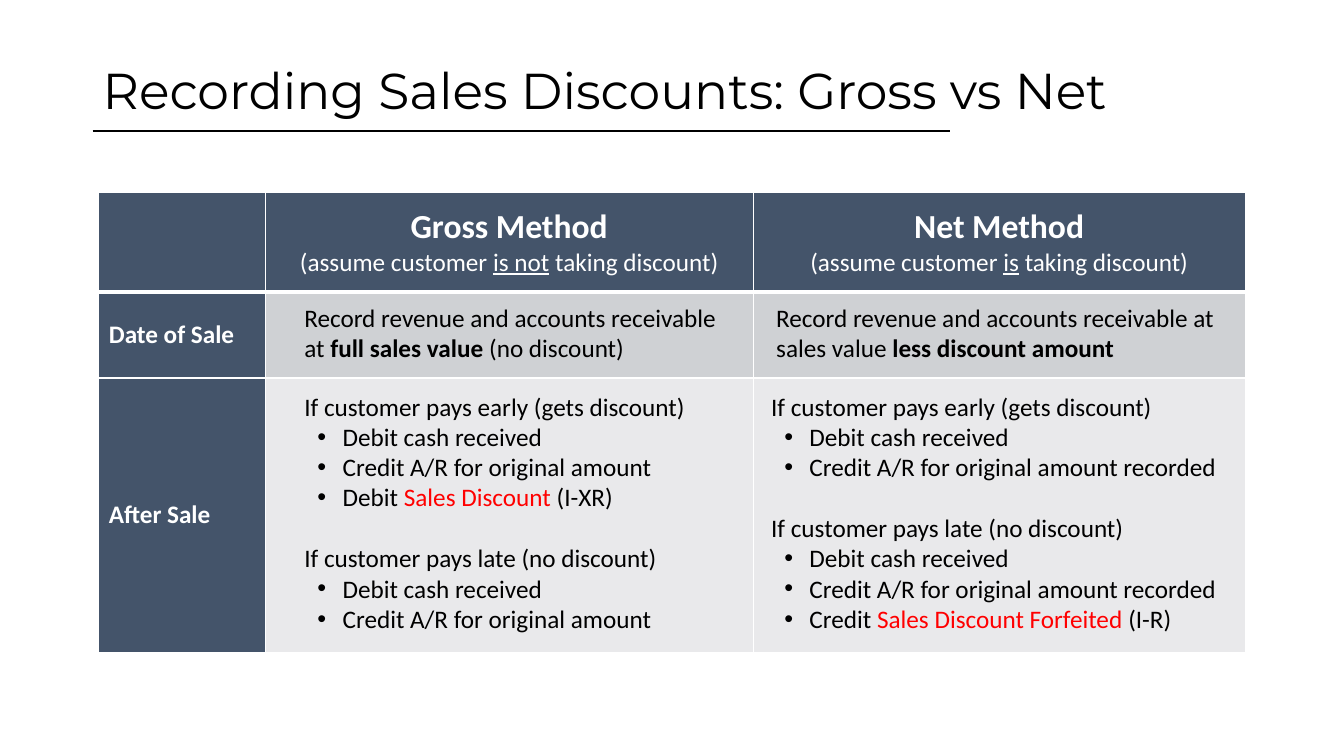
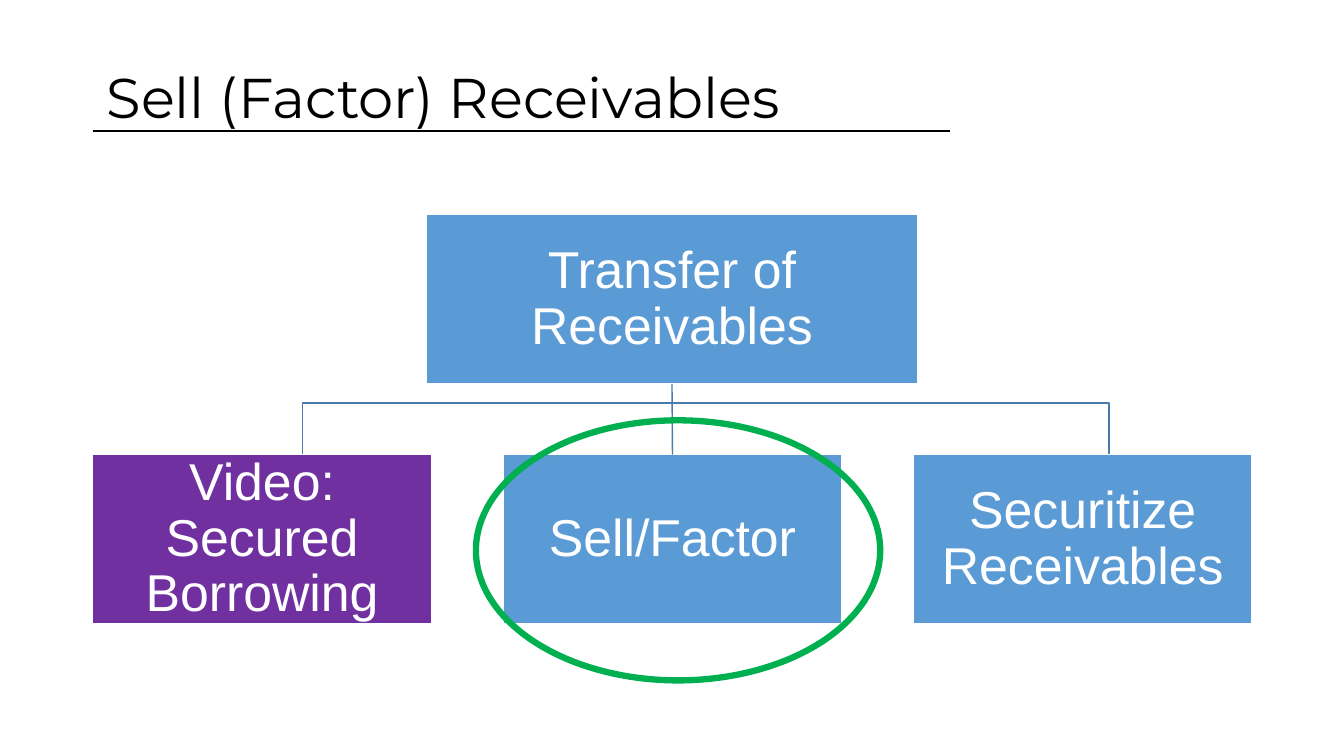
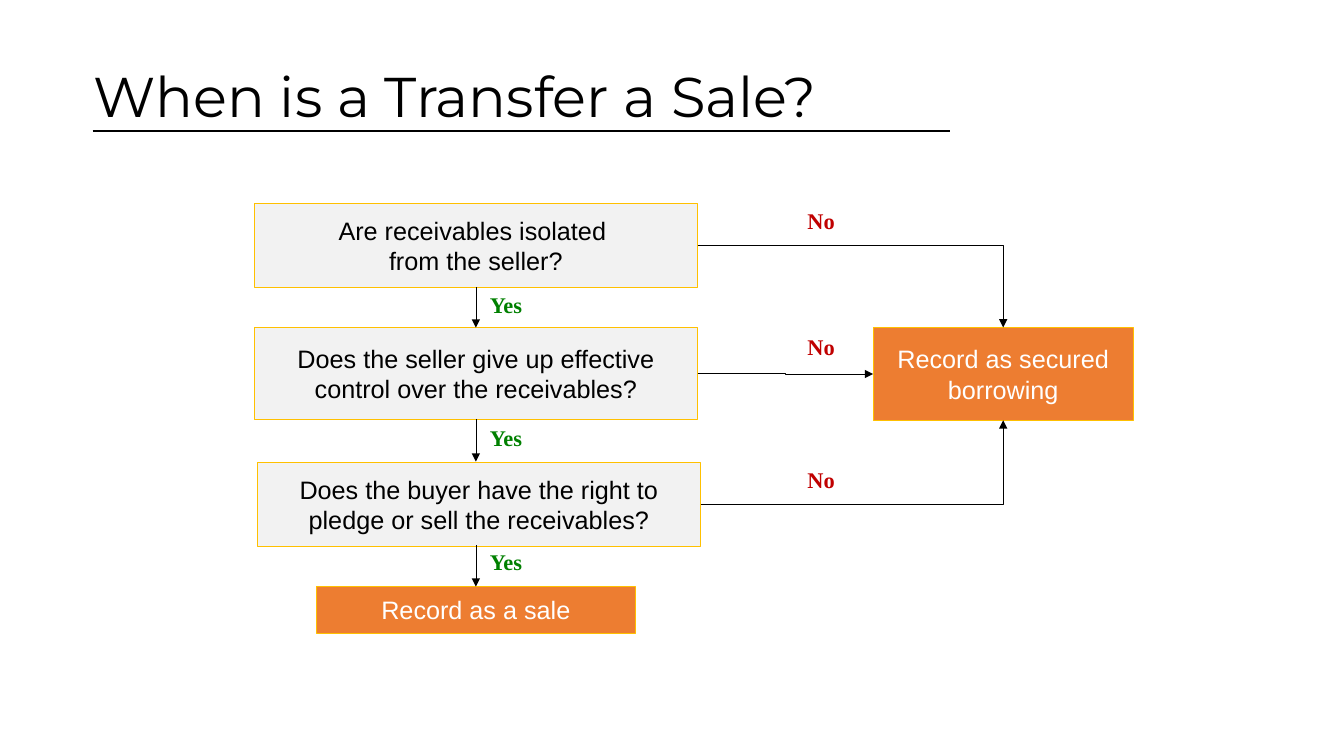
import pptx
import pptx.util
import pptx.dml.color
import pptx.enum.shapes
import pptx.enum.text
import pptx.oxml.ns
import lxml.etree

Inches = pptx.util.Inches
Pt = pptx.util.Pt
SHAPE = pptx.enum.shapes.MSO_SHAPE
CONNECTOR = pptx.enum.shapes.MSO_CONNECTOR
ANCHOR = pptx.enum.text.MSO_ANCHOR
ALIGN = pptx.enum.text.PP_ALIGN
qn = pptx.oxml.ns.qn

BLACK, WHITE, RED = "000000", "FFFFFF", "FF0000"
NAVY, GREY, PALE = "44546A", "CFD1D4", "E9E9EB"
BLUE, PURPLE, GREEN, LINK = "5B9BD5", "7030A0", "00B050", "497CAB"
ORANGE, GOLD, LIGHT = "ED7D31", "FFC000", "F2F2F2"
NO_RED, YES_GREEN = "C00000", "008000"
BODY, DISPLAY, SANS, SERIF = "Calibri", "Montserrat", "Arial", "Times New Roman"


def rgb(value):
    return pptx.dml.color.RGBColor.from_string(value)


def sub(parent, tag, **attributes):
    return lxml.etree.SubElement(parent, qn(tag), **attributes)


def paint(fill, color):
    if color:
        fill.solid()
        fill.fore_color.rgb = rgb(color)
    else:
        fill.background()


def stroke(line, color, width):
    line.color.rgb = rgb(color)
    line.width = Pt(width)


def write(p, runs, size, font, color, bold=None, align=None, bullet=False):
    if bullet:
        pPr = p._p.get_or_add_pPr()
        pPr.set("marL", str(Inches(0.38)))
        pPr.set("indent", str(Inches(-0.25)))
        sub(pPr, "a:buFont", typeface="Arial")
        sub(pPr, "a:buChar", char="•")
    p.alignment = align
    p.font.size = Pt(size)
    p.font.name = font
    p.font.color.rgb = rgb(color)
    p.font.bold = bold
    if isinstance(runs, str):
        p.text = runs
        return
    for text, style in runs:
        r = p.add_run()
        r.text = text
        if style == "bold":
            r.font.bold = True
        elif style == "underline":
            r.font.underline = True
        elif style:
            r.font.color.rgb = rgb(style)


def textbox(s, x, y, w, h):
    tf = s.shapes.add_textbox(Inches(x), Inches(y), Inches(w), Inches(h)).text_frame
    tf.word_wrap = True
    return tf


def connector(s, start, end, color, width, begin=None, finish=None, arrow=False, kind=None):
    style = CONNECTOR.ELBOW if kind else CONNECTOR.STRAIGHT
    c = s.shapes.add_connector(style, *[Inches(v) for v in start + end])
    if begin:
        c.begin_connect(*begin)
    if finish:
        c.end_connect(*finish)
    if kind:
        geometry = c._element.spPr.find(qn("a:prstGeom"))
        geometry.set("prst", kind)
    stroke(c.line, color, width)
    if arrow:
        sub(c.line._get_or_add_ln(), "a:tailEnd", type="triangle")
    sub(c._element.spPr, "a:effectLst")
    return c


def shape(s, x, y, w, h, fill, line, width, kind=SHAPE.RECTANGLE):
    sp = s.shapes.add_shape(kind, Inches(x), Inches(y), Inches(w), Inches(h))
    sp.shadow.inherit = False
    paint(sp.fill, fill)
    stroke(sp.line, line, width)
    return sp


def box(s, x, y, w, h, text, fill, line, width, size, color):
    sp = shape(s, x, y, w, h, fill, line, width)
    tf = sp.text_frame
    tf.word_wrap = True
    tf.vertical_anchor = ANCHOR.MIDDLE
    write(tf.paragraphs[0], text, size, SANS, color, align=ALIGN.CENTER)
    return sp


def new_slide(prs, title, x, y, w, h, size=40):
    s = prs.slides.add_slide(prs.slide_layouts[6])
    connector(s, (0.92, 1.3), (9.42, 1.3), BLACK, 1)
    tf = textbox(s, x, y, w, h)
    tf.vertical_anchor = ANCHOR.MIDDLE
    write(tf.paragraphs[0], title, size, DISPLAY, BLACK)
    tf.paragraphs[0].line_spacing = 0.9
    return s


def style_cell(cell, fill, top, bottom):
    cell.vertical_anchor = ANCHOR.MIDDLE
    tcPr = cell._tc.get_or_add_tcPr()
    for side, width in (("L", 1), ("R", 1), ("T", top), ("B", bottom)):
        ln = sub(tcPr, "a:ln" + side, w=str(Pt(width)))
        sub(sub(ln, "a:solidFill"), "a:srgbClr", val=WHITE)
    paint(cell.fill, fill)


def method_table(s):
    widths, heights = (1.65, 4.84, 4.88), (0.99, 0.85, 2.72)
    frame = s.shapes.add_table(3, 3, Inches(0.98), Inches(1.91),
                               Inches(sum(widths)), Inches(sum(heights)))
    table = frame.table
    table.first_row = table.horz_banding = False
    for column, width in zip(table.columns, widths):
        column.width = Inches(width)
    for i, (height, fill) in enumerate(zip(heights, (NAVY, GREY, PALE))):
        table.rows[i].height = Inches(height)
        for j in range(3):
            style_cell(table.cell(i, j), fill if j else NAVY,
                       3 if i == 1 else 1, 3 if i == 0 else 1)
    for j, (method, verb) in enumerate((("Gross", "is not"), ("Net", "is")), 1):
        tf = table.cell(0, j).text_frame
        write(tf.paragraphs[0], method + " Method", 24, BODY, WHITE, True, ALIGN.CENTER)
        note = [("(assume customer ", None), (verb, "underline"), (" taking discount)", None)]
        write(tf.add_paragraph(), note, 18, BODY, WHITE, False, ALIGN.CENTER)
    for i, label in enumerate(("Date of Sale", "After Sale"), 1):
        write(table.cell(i, 0).text_frame.paragraphs[0], label, 18, BODY, WHITE, True)


def payment_cases(s, x, w, early, late):
    tf = textbox(s, x, 3.83, w, 2.52)
    p = tf.paragraphs[0]
    write(p, "If customer pays early (gets discount)", 18, BODY, BLACK)
    for entry in early:
        write(tf.add_paragraph(), entry, 18, BODY, BLACK, bullet=True)
    p = tf.add_paragraph()
    write(p, "If customer pays late (no discount)", 18, BODY, BLACK)
    p.space_before = Pt(22)
    for entry in late:
        write(tf.add_paragraph(), entry, 18, BODY, BLACK, bullet=True)


def discounts_slide(prs):
    s = new_slide(prs, "Recording Sales Discounts: Gross vs Net", 0.92, 0.2, 11.5, 1.45, 36)
    method_table(s)
    gross = [("Record revenue and accounts receivable at ", None),
             ("full sales value ", "bold"), ("(no discount)", None)]
    net = [("Record revenue and accounts receivable at sales value ", None),
           ("less discount amount", "bold")]
    for x, w, runs in ((2.92, 4.38, gross), (7.6, 4.62, net)):
        write(textbox(s, x, 2.95, w, 0.71).paragraphs[0], runs, 18, BODY, BLACK)
    cash, credit = "Debit cash received", "Credit A/R for original amount"
    discount = [("Debit ", None), ("Sales Discount ", RED), ("(I-XR)", None)]
    forfeited = [("Credit ", None), ("Sales Discount Forfeited ", RED), ("(I-R)", None)]
    payment_cases(s, 2.92, 4.38, [cash, credit, discount], [cash, credit])
    recorded = credit + " recorded"
    payment_cases(s, 7.55, 4.62, [cash, recorded], [cash, recorded, forfeited])


def org_box(s, x, y, w, text, fill):
    sp = box(s, x, y, w, 1.68, text, fill, WHITE, 1, 37, WHITE)
    tf = sp.text_frame
    tf.margin_left = tf.margin_right = tf.margin_top = tf.margin_bottom = Inches(0.03)
    tf.paragraphs[0].line_spacing = 0.9
    return sp


def branch(s, x, y, child_x, child_y):
    middle = (y + child_y) / 2
    builder = s.shapes.build_freeform(x, y, scale=Inches(1))
    builder.add_line_segments([(x, middle), (child_x, middle), (child_x, child_y)], close=False)
    sp = builder.convert_to_shape()
    sp.shadow.inherit = False
    paint(sp.fill, None)
    stroke(sp.line, LINK, 1)


def factoring_slide(prs):
    s = new_slide(prs, "Sell (Factor) Receivables", 0.96, 0.52, 10.43, 0.95)
    center, top, bottom, pitch, w = 6.67, 3.81, 4.51, 4.07, 3.36
    for side in (1, -1):
        branch(s, center, top, center + side * pitch, bottom)
    root = org_box(s, 4.23, 2.13, 4.87, "Transfer of Receivables", BLUE)
    options = (("Video: Secured Borrowing", PURPLE), ("Sell/Factor", BLUE),
               ("Securitize Receivables", BLUE))
    children = [org_box(s, center + (i - 1) * pitch - w / 2, bottom, w, text, fill)
                for i, (text, fill) in enumerate(options)]
    connector(s, (center, top), (center, bottom), LINK, 1, (root, 2), (children[1], 0))
    shape(s, 4.72, 4.17, 4.01, 2.58, None, GREEN, 4.5, SHAPE.OVAL)


def answer(s, x, y, text, color):
    write(textbox(s, x, y, 0.61, 0.37).paragraphs[0], text, 16, SERIF, color, True)


def transfer_slide(prs):
    s = new_slide(prs, "When is a Transfer a Sale?", 0.83, 0.36, 11.19, 1.25)
    questions = (
        (2.52, 2.02, 0.83, "Are receivables isolated \vfrom the seller?"),
        (2.52, 3.25, 0.91, "Does the seller give up effective control over the receivables?"),
        (2.55, 4.59, 0.83, "Does the buyer have the right to pledge or sell the receivables?"),
    )
    isolated, control, pledge = [
        box(s, x, y, 4.4, h, text, LIGHT, GOLD, 0.5, 18, BLACK) for x, y, h, text in questions]
    borrowing = box(s, 8.66, 3.25, 2.58, 0.92, "Record as secured borrowing",
                    ORANGE, GOLD, 0.5, 18, WHITE)
    sale = box(s, 3.14, 5.82, 3.16, 0.46, "Record as a sale", ORANGE, GOLD, 0.5, 18, WHITE)

    for y1, y2, begin, finish in ((2.85, 3.25, (isolated, 2), (control, 0)),
                                  (4.16, 4.58, (control, 2), None),
                                  (5.41, 5.82, None, (sale, 0))):
        connector(s, (4.72, y1), (4.72, y2), BLACK, 0.5, begin, finish, True)
    for question, start, end, site, kind in (
            (isolated, (6.92, 2.44), (9.95, 3.25), 0, "bentConnector2"),
            (control, (6.92, 3.71), (8.66, 3.71), 1, "bentConnector3"),
            (pledge, (6.95, 5), (9.95, 4.17), 2, "bentConnector2")):
        connector(s, start, end, BLACK, 0.5, (question, 3), (borrowing, site), True, kind)

    for y in (2.01, 3.26, 4.58):
        answer(s, 7.91, y, "No", NO_RED)
    for y in (2.84, 4.16, 5.39):
        answer(s, 4.76, y, "Yes", YES_GREEN)


def main():
    prs = pptx.Presentation()
    prs.slide_width, prs.slide_height = Inches(13.33), Inches(7.5)
    discounts_slide(prs)
    factoring_slide(prs)
    transfer_slide(prs)
    prs.save("out.pptx")


if __name__ == "__main__":
    main()
